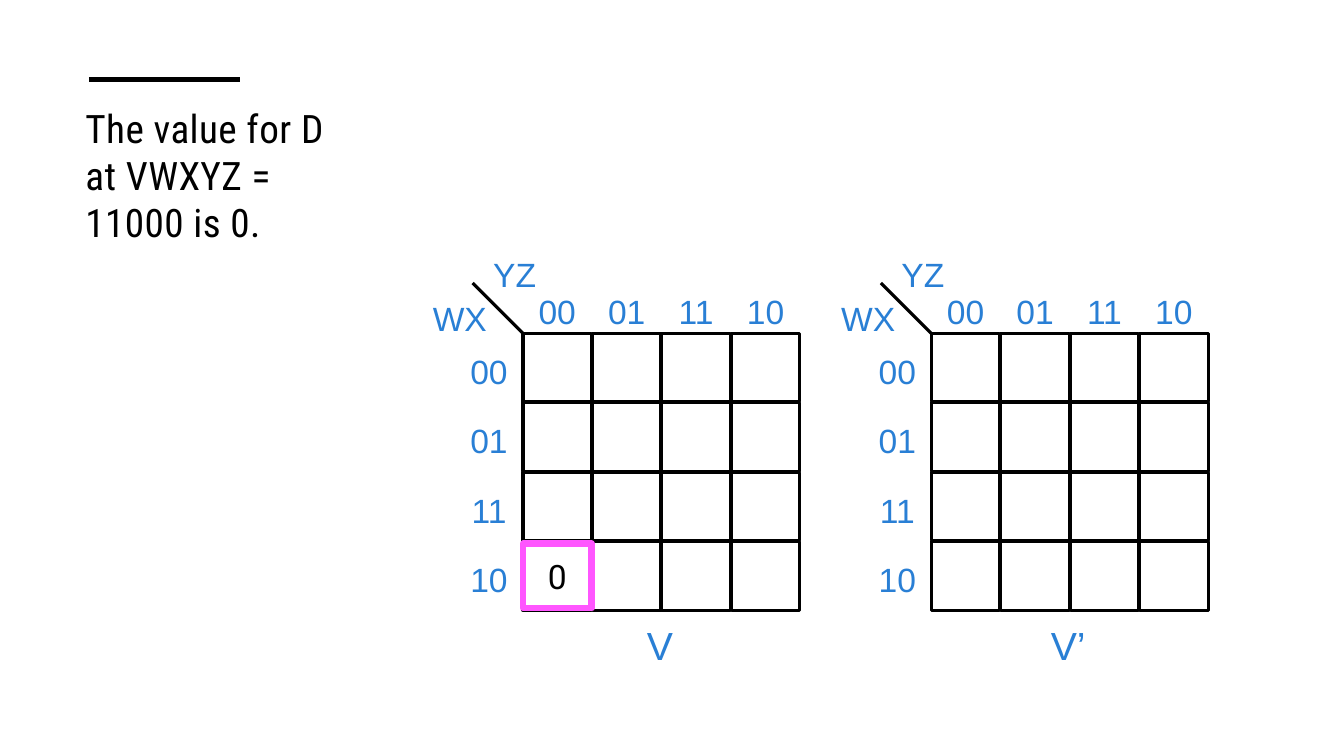
from lxml.etree import SubElement
from pptx import Presentation
from pptx.dml.color import RGBColor
from pptx.enum.shapes import MSO_CONNECTOR, MSO_SHAPE
from pptx.enum.text import MSO_ANCHOR, MSO_AUTO_SIZE, PP_ALIGN
from pptx.oxml.ns import qn
from pptx.util import Cm, Pt

BLACK, BLUE, PINK = "000000", "297FD5", "FF56FF"
GRAY_CODE = ["00", "01", "11", "10"]
PITCH, CELL = 1.75, 1.73
GRID_TOP = 8.4
MAPS = [(13.18, "V"), (23.47, "V’")]


def color(value):
    return RGBColor.from_string(value)


class SlideBuilder:
    def __init__(self, prs):
        self.s = prs.slides.add_slide(prs.slide_layouts[5])

    def style(self, tf, text, size, font, fill, align):
        tf.text = text
        p = tf.paragraphs[0]
        p.alignment = align
        r = p.runs[0]
        r.font.size, r.font.name = Pt(size), font
        r.font.color.rgb = color(fill)
        return r

    def title(self, text, x, y, w, h):
        sp = self.s.shapes.title
        sp.left, sp.top, sp.width, sp.height = Cm(x), Cm(y), Cm(w), Cm(h)
        tf = sp.text_frame
        tf.word_wrap, tf.auto_size = True, MSO_AUTO_SIZE.NONE
        tf.vertical_anchor = MSO_ANCHOR.TOP
        r = self.style(tf, text, 28, "Roboto Condensed", BLACK, PP_ALIGN.LEFT)
        r._r.get_or_add_rPr().set("spc", "30")

    def label(self, text, x, y, w, size=24):
        sp = self.s.shapes.add_textbox(Cm(x), Cm(y), Cm(w), Cm(size * 0.053))
        tf = sp.text_frame
        tf.word_wrap = True
        self.style(tf, text, size, "Arial", BLUE, PP_ALIGN.CENTER)

    def box(self, x, y, w, h, line=BLACK, weight=2.25, text=""):
        sp = self.s.shapes.add_shape(MSO_SHAPE.RECTANGLE, Cm(x), Cm(y), Cm(w), Cm(h))
        sp.shadow.inherit = False
        sp.fill.background()
        sp.line.color.rgb, sp.line.width = color(line), Pt(weight)
        if text:
            sp.text_frame.vertical_anchor = MSO_ANCHOR.MIDDLE
            self.style(sp.text_frame, text, 24, "Roboto", BLACK, PP_ALIGN.CENTER)

    def line(self, x1, y1, x2, y2, weight):
        c = self.s.shapes.add_connector(
            MSO_CONNECTOR.STRAIGHT, Cm(x1), Cm(y1), Cm(x2), Cm(y2))
        c.line.color.rgb, c.line.width = color(BLACK), Pt(weight)
        SubElement(c._element.spPr, qn("a:effectLst"))

    def karnaugh_map(self, left, caption, values):
        # Cells
        for row in range(4):
            for col in range(4):
                self.box(left + col * PITCH, GRID_TOP + row * PITCH, CELL, CELL,
                         text=values.get((row, col), ""))
        # Axis names and codes
        self.line(left, GRID_TOP, left - 1.27, GRID_TOP - 1.27, 2.25)
        self.label("WX", left - 2.9, 7.37, 2.62)
        self.label("YZ", left - 1.52, 6.27, 2.62)
        for i, code in enumerate(GRAY_CODE):
            self.label(code, left + 0.04 + i * PITCH, 7.2, 1.65)
            self.label(code, left - 1.68, GRID_TOP + 0.31 + i * PITCH, 1.65)
        self.label(caption, left + 1.85, 15.54, 3.2, size=28)


def main():
    prs = Presentation()
    prs.slide_width, prs.slide_height = Cm(33.87), Cm(19.05)
    slide = SlideBuilder(prs)

    # Heading with its rule
    slide.title("The value for D at VWXYZ = 11000 is 0.", 1.9, 2.49, 7.2, 12.12)
    slide.line(2.24, 2.01, 6.05, 2.01, 3.5)

    # Karnaugh maps for V and V’
    for left, caption in MAPS:
        slide.karnaugh_map(left, caption, {(3, 0): "0"} if caption == "V" else {})

    # Highlight on the filled cell
    slide.box(MAPS[0][0], GRID_TOP + 3 * PITCH + 0.05, CELL, 1.63, PINK, 4.5)

    prs.save("out.pptx")


if __name__ == "__main__":
    main()
